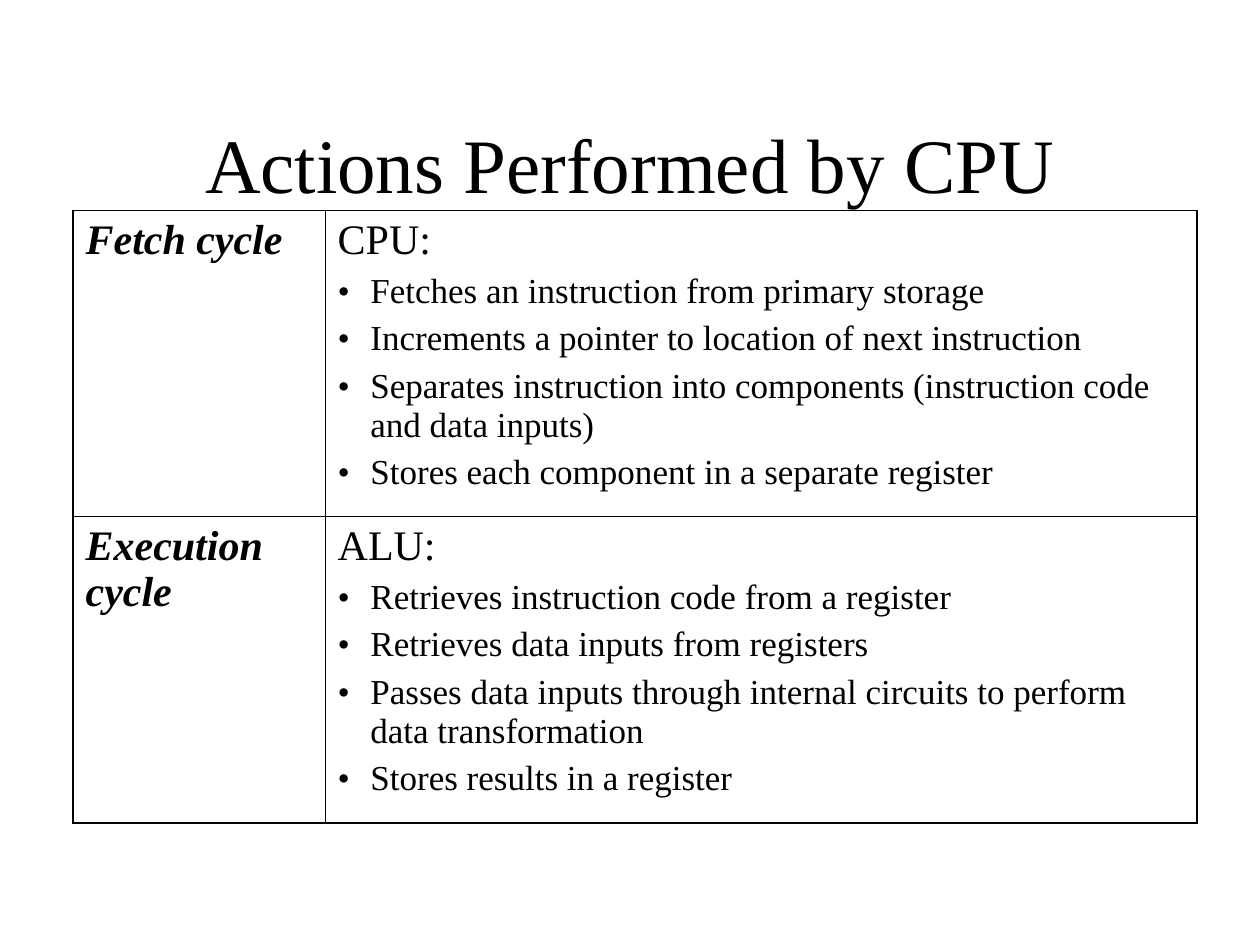
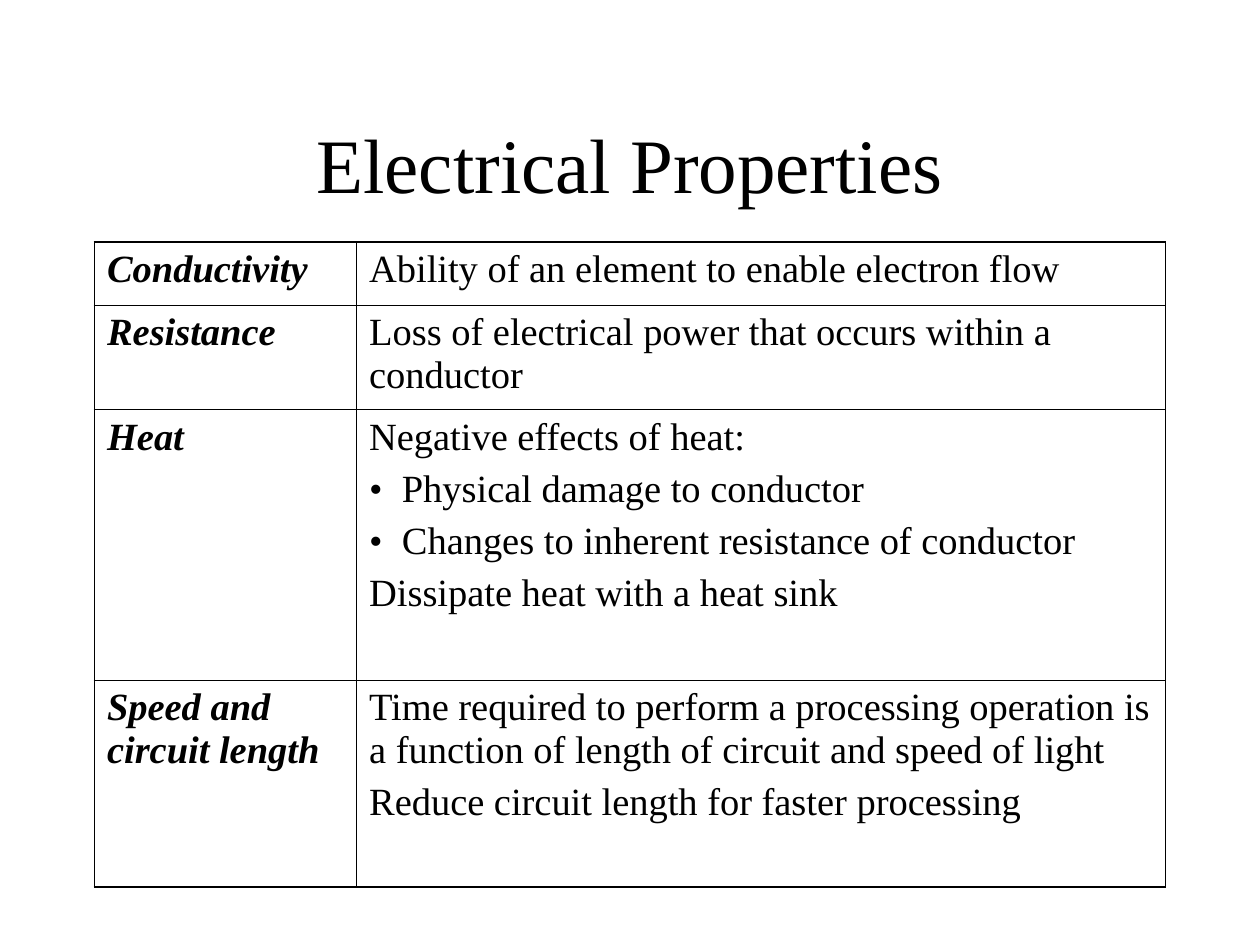
from dataclasses import dataclass

from lxml.etree import SubElement
from pptx import Presentation
from pptx.dml.color import RGBColor
from pptx.enum.text import MSO_ANCHOR, PP_ALIGN
from pptx.oxml import parse_xml
from pptx.oxml.ns import nsdecls, qn
from pptx.util import Inches, Pt

COLORS = {"ink": "000000", "paper": "FFFFFF"}
FONT = "Times New Roman"
OUTER_RULE, INNER_RULE = Pt(1.08), Pt(0.45)
HANG = Inches(0.26)


@dataclass(frozen=True)
class Detail:
    text: str
    size: float
    bullet: bool = False
    hanging: bool = False


@dataclass(frozen=True)
class Entry:
    term: str
    height: float
    details: tuple[Detail, ...]


@dataclass(frozen=True)
class Topic:
    title: str
    left: float
    top: float
    widths: tuple[float, float]
    term_size: float
    entries: tuple[Entry, ...]


def cycle(term: str, unit: str, *steps: str) -> Entry:
    """A processor cycle: the unit in charge, then its bulleted steps."""
    bulleted = tuple(Detail(step, 20, bullet=True, hanging=True) for step in steps)
    return Entry(term, 2.43, (Detail(unit, 24, hanging=True), *bulleted))


TOPICS = (
    Topic("Actions Performed by CPU", 0.58, 1.67, (2, 6.92), 24, (
        cycle("Fetch cycle", "CPU:",
              "Fetches an instruction from primary storage",
              "Increments a pointer to location of next instruction",
              "Separates instruction into components (instruction code and data inputs)",
              "Stores each component in a separate register"),
        cycle("Execution cycle", "ALU:",
              "Retrieves instruction code from a register",
              "Retrieves data inputs from registers",
              "Passes data inputs through internal circuits to perform data transformation",
              "Stores results in a register"),
    )),
    Topic("Electrical Properties", 0.75, 1.92, (2.08, 6.42), 22, (
        Entry("Conductivity", 0.5, (
            Detail("Ability of an element to enable electron flow", 22),)),
        Entry("Resistance", 0.83, (
            Detail("Loss of electrical power that occurs within a conductor", 22),)),
        Entry("Heat", 2.15, (
            Detail("Negative effects of heat:", 22, hanging=True),
            Detail("Physical damage to conductor", 22, bullet=True, hanging=True),
            Detail("Changes to inherent resistance of conductor", 22, bullet=True, hanging=True),
            Detail("Dissipate heat with a heat sink", 22, hanging=True))),
        Entry("Speed and circuit length", 1.64, (
            Detail("Time required to perform a processing operation is a function of "
                   "length of circuit and speed of light", 22),
            Detail("Reduce circuit length for faster processing", 22))),
    )),
)


def write(paragraph, text: str, *, size: float, bold: bool = False, italic: bool = False,
          align=PP_ALIGN.LEFT, before: float = 0, hanging: bool = False,
          bullet: bool = False) -> None:
    paragraph.alignment = align
    paragraph.space_before = Pt(before)
    run = paragraph.add_run()
    run.text = text
    font = run.font
    font.name, font.size, font.bold, font.italic = FONT, Pt(size), bold, italic
    font.color.rgb = RGBColor.from_string(COLORS["ink"])
    properties = paragraph._p.get_or_add_pPr()
    if hanging:
        properties.set("marL", str(HANG))
        properties.set("indent", str(-HANG))
    if bullet:
        SubElement(properties, qn("a:buFont"), typeface=FONT)
        SubElement(properties, qn("a:buChar"), char="•")


def rule_cell(cell, **widths: int) -> None:
    """Draw the cell's borders; the schema wants the order L, R, T, B before the fill."""
    properties = cell._tc.get_or_add_tcPr()
    for position, side in enumerate("LRTB"):
        properties.insert(position, parse_xml(
            f'<a:ln{side} {nsdecls("a")} w="{widths[side]}"><a:solidFill>'
            f'<a:srgbClr val="{COLORS["ink"]}"/></a:solidFill></a:ln{side}>'))


def add_definitions(slide, topic: Topic) -> None:
    heights = [entry.height for entry in topic.entries]
    table = slide.shapes.add_table(
        len(heights), 2, Inches(topic.left), Inches(topic.top),
        Inches(sum(topic.widths)), Inches(sum(heights))).table
    table.first_row = table.horz_banding = False
    for column, width in zip(table.columns, topic.widths):
        column.width = Inches(width)
    last = len(heights) - 1
    for index, entry in enumerate(topic.entries):
        table.rows[index].height = Inches(entry.height)
        term_cell, detail_cell = table.cell(index, 0), table.cell(index, 1)
        top = OUTER_RULE if index == 0 else INNER_RULE
        bottom = OUTER_RULE if index == last else INNER_RULE
        for cell in (term_cell, detail_cell):
            cell.fill.background()
            cell.vertical_anchor = MSO_ANCHOR.TOP
        rule_cell(term_cell, L=OUTER_RULE, R=INNER_RULE, T=top, B=bottom)
        rule_cell(detail_cell, L=INNER_RULE, R=OUTER_RULE, T=top, B=bottom)

        write(term_cell.text_frame.paragraphs[0], entry.term, size=topic.term_size,
              bold=True, italic=True, before=topic.term_size / 4)
        frame = detail_cell.text_frame
        for number, detail in enumerate(entry.details):
            paragraph = frame.add_paragraph() if number else frame.paragraphs[0]
            write(paragraph, detail.text, size=detail.size, before=detail.size / 4,
                  hanging=detail.hanging, bullet=detail.bullet)


def add_topic(deck, topic: Topic) -> None:
    slide = deck.slides.add_slide(deck.slide_layouts[5])
    slide.background.fill.solid()
    slide.background.fill.fore_color.rgb = RGBColor.from_string(COLORS["paper"])
    title = slide.shapes.title
    title.left, title.top = Inches(0.75), Inches(0.67)
    title.width, title.height = Inches(8.5), Inches(1.25)
    title.text_frame.vertical_anchor = MSO_ANCHOR.MIDDLE
    write(title.text_frame.paragraphs[0], topic.title, size=44, align=PP_ALIGN.CENTER)
    add_definitions(slide, topic)


def main() -> None:
    deck = Presentation()
    deck.slide_width, deck.slide_height = Inches(10), Inches(7.5)
    for topic in TOPICS:
        add_topic(deck, topic)
    deck.save("out.pptx")


if __name__ == "__main__":
    main()
